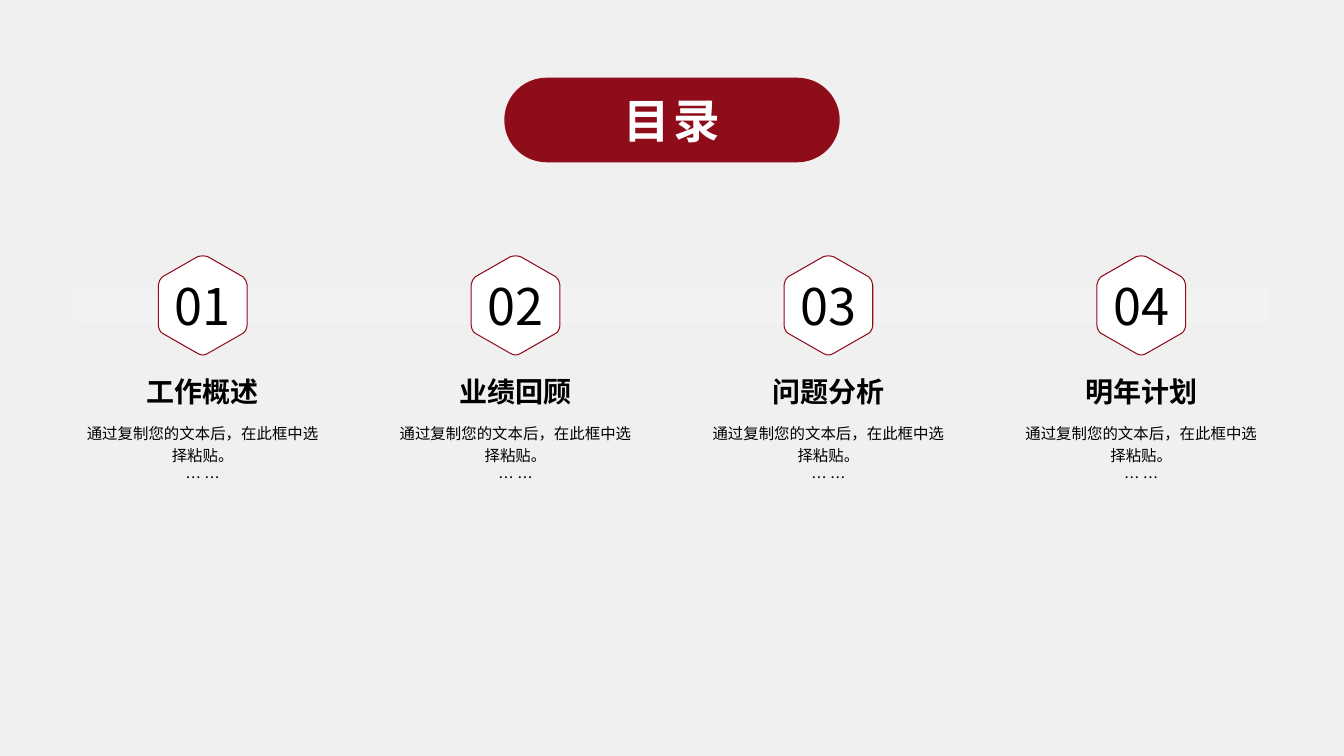
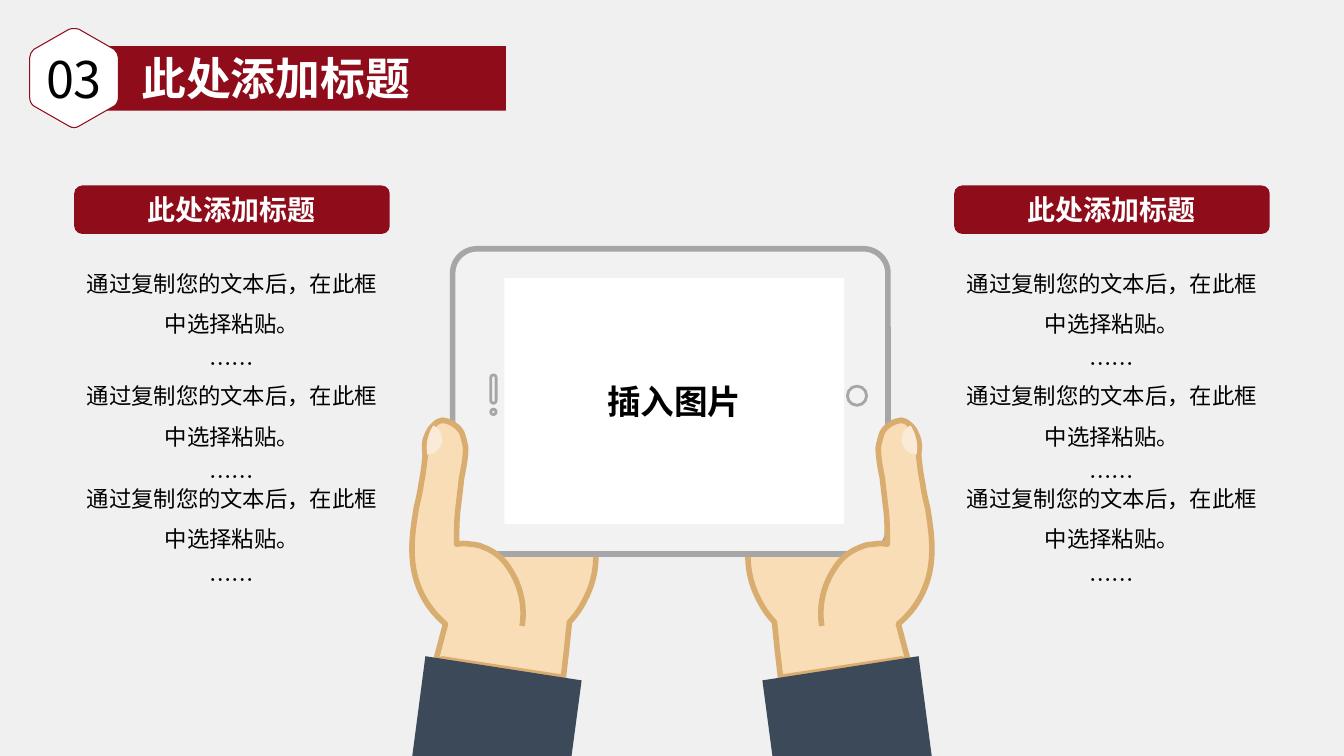
"""Build a contents slide and a tablet-in-hands slide."""
import pptx
import pptx.util
import pptx.dml.color
import pptx.enum.shapes
import pptx.enum.text
import pptx.oxml.ns
import lxml.etree

Pt = pptx.util.Pt
SHAPE = pptx.enum.shapes.MSO_SHAPE
ALIGN = pptx.enum.text.PP_ALIGN
ANCHOR = pptx.enum.text.MSO_ANCHOR
qn = pptx.oxml.ns.qn

COLORS = {
    "back": "F0F0F0", "panel": "F2F2F2", "red": "8F0C1B", "white": "FFFFFF",
    "black": "000000", "gray": "A6A6A6", "skin": "F9DDB7", "edge": "D9AD70",
    "nail": "FBEAD7", "sleeve": "3C4959",
}
FONT = "Noto Sans CJK SC"
WIDTH, HEIGHT, MARGIN = 960, 540, 53
UNIT = 0.72
BODY = "通过复制您的文本后，在此框中选择粘贴。"
HEADING = "此处添加标题"

HEXAGON = [
    (88, 29), (88, 26, 86, 23, 84, 21), (49, 1), (46, 0, 42, 0, 39, 1),
    (4, 21), (2, 23, 0, 26, 0, 29), (0, 69), (0, 72, 2, 76, 4, 77),
    (39, 97), (42, 99, 46, 99, 49, 97), (84, 77), (86, 76, 88, 72, 88, 69),
]
PALM = [
    (559, 672), (560, 663, 561, 654, 562, 646), (563, 636, 564, 627, 565, 617),
    (574, 608, 580, 597, 585, 585), (590, 572, 592, 559, 591, 545), (454, 541),
    (453, 518, 454, 496, 459, 475), (462, 458, 467, 440, 456, 426),
    (452, 421, 446, 418, 439, 417), (436, 418, 432, 420, 430, 423),
    (421, 432, 422, 445, 422, 458), (422, 470, 418, 483, 416, 495),
    (411, 519, 406, 545, 412, 569), (416, 589, 427, 607, 443, 619), (434, 653),
]
THUMB = [
    (433, 653), (442, 619), (425, 605, 413, 584, 410, 562),
    (407, 542, 410, 523, 413, 504), (415, 496, 417, 487, 418, 479),
    (420, 470, 421, 460, 422, 451), (421, 446, 421, 441, 422, 436),
    (424, 431, 426, 425, 430, 422), (432, 419, 435, 418, 439, 417),
    (447, 418, 454, 422, 458, 429), (460, 434, 461, 439, 462, 444),
    (462, 454, 460, 464, 458, 474), (457, 483, 456, 491, 455, 500),
    (453, 513, 453, 527, 453, 540), (458, 539, 462, 539, 467, 540),
    (471, 540, 476, 541, 480, 543), (491, 547, 500, 555, 506, 565),
    (517, 582, 521, 602, 518, 621),
]
NAIL = [
    (424, 451), (423, 445, 423, 439, 425, 433), (426, 429, 428, 425, 430, 422),
    (436, 425, 439, 431, 439, 437), (438, 445, 431, 451, 424, 451),
]
SLEEVE = [(422, 651), (577, 675), (567, 750), (409, 750)]


def outline(s, steps, dx=0, dy=0, flip=False, closed=True):
    points = []
    for step in steps:
        for x, y in zip(step[::2], step[1::2]):
            x = x * UNIT + dx
            points.append((Pt(WIDTH - x if flip else x), Pt(y * UNIT + dy)))
    builder = s.shapes.build_freeform(*points[0])
    builder.add_line_segments(points[1:], close=closed)
    sp = builder.convert_to_shape()
    segments = iter(list(sp._element.iter(qn("a:lnTo"))))
    for step in steps[1:]:
        segment = next(segments)
        if len(step) == 6:
            curve = lxml.etree.Element(qn("a:cubicBezTo"))
            segment.addprevious(curve)
            for part in (segment, next(segments), next(segments)):
                curve.append(part[0])
                part.getparent().remove(part)
    return sp


def dress(sp, fill=None, line=None, weight=0, lines=(), size=16, color="black", bold=False,
          align=ALIGN.CENTER, anchor=ANCHOR.MIDDLE, spacing=1.0, tracking=0, wrap=True):
    sp.shadow.inherit = False
    for part, name in ((sp.fill, fill), (sp.line.fill, line)):
        if name:
            part.solid()
            part.fore_color.rgb = pptx.dml.color.RGBColor.from_string(COLORS[name])
        else:
            part.background()
    if line:
        sp.line.width = Pt(weight)
    if not lines:
        return
    tf = sp.text_frame
    tf.word_wrap = wrap
    tf.vertical_anchor = anchor
    tf.text = "\n".join(lines)
    for p in tf.paragraphs:
        p.alignment = align
        p.line_spacing = spacing
        for r in p.runs:
            r.font.size = Pt(size)
            r.font.bold = bold
            r.font.color.rgb = pptx.dml.color.RGBColor.from_string(COLORS[color])
            r.font.name = FONT
            props = r.font._element
            lxml.etree.SubElement(props, qn("a:ea"), typeface=FONT)
            if tracking:
                props.set("spc", str(tracking * 100))


prs = pptx.Presentation()
prs.slide_width, prs.slide_height = Pt(WIDTH), Pt(HEIGHT)
contents, tablet = [prs.slides.add_slide(prs.slide_layouts[6]) for _ in range(2)]
for s in (contents, tablet):
    s.background.fill.solid()
    s.background.fill.fore_color.rgb = pptx.dml.color.RGBColor.from_string(COLORS["back"])

s = contents
strip = s.shapes.add_shape(SHAPE.RECTANGLE, Pt(MARGIN), Pt(206), Pt(WIDTH - 2 * MARGIN), Pt(25))
dress(strip, "panel")
pill = s.shapes.add_shape(SHAPE.ROUNDED_RECTANGLE, Pt(360.2), Pt(55.5), Pt(239.6), Pt(60.4))
pill.adjustments[0] = 0.5
dress(pill, "red", lines=["目录"], size=33.3, color="white", bold=True, tracking=3)

column = 183.6
pitch = (WIDTH - 2 * MARGIN - column) / 3
for i, name in enumerate(["工作概述", "业绩回顾", "问题分析", "明年计划"]):
    left = MARGIN + i * pitch
    badge = outline(s, HEXAGON, left + (column - 88 * UNIT) / 2, 182.6)
    dress(badge, "white", "red", lines=[f"{i + 1:02d}"], size=36)
    note = s.shapes.add_textbox(Pt(left), Pt(296.6), Pt(column), Pt(67))
    dress(note, lines=[BODY, "… …"], size=11, anchor=ANCHOR.TOP, spacing=1.2)
    label = s.shapes.add_textbox(Pt(left), Pt(262), Pt(column), Pt(34.6))
    dress(label, lines=[name], size=20, bold=True)

s = tablet
for flip in (True, False):
    dress(outline(s, PALM, flip=flip), "skin", "edge", 4)

device = s.shapes.add_shape(SHAPE.ROUNDED_RECTANGLE, Pt(323.3), Pt(177.7), Pt(311), Pt(218))
device.adjustments[0] = 0.08
dress(device, "panel", "gray", 4)
for kind, x, y, w, h in [
    (SHAPE.OVAL, 605.3, 275.8, 13.7, 13.7),
    (SHAPE.ROUNDED_RECTANGLE, 350.6, 267.8, 3.8, 20.2),
    (SHAPE.OVAL, 350.6, 292.3, 3.8, 3.8),
]:
    control = s.shapes.add_shape(kind, Pt(x), Pt(y), Pt(w), Pt(h))
    if kind == SHAPE.ROUNDED_RECTANGLE:
        control.adjustments[0] = 0.5
    dress(control, line="gray", weight=2)

for flip in (False, True):
    dress(outline(s, THUMB, flip=flip, closed=False), "skin", "edge", 4)
    dress(outline(s, NAIL, flip=flip), "nail")
    dress(outline(s, SLEEVE, flip=flip), "sleeve")

screen = s.shapes.add_shape(SHAPE.RECTANGLE, Pt(360.2), Pt(198.7), Pt(242.8), Pt(175.6))
dress(screen, "white", lines=["插入图片"], size=24, bold=True)

panel = 225.4
for left in (MARGIN, WIDTH - MARGIN - panel):
    for top in (179.6, 260, 333.4):
        note = s.shapes.add_textbox(Pt(left), Pt(top), Pt(panel), Pt(70))
        dress(note, lines=[BODY, "……"], anchor=ANCHOR.TOP, spacing=1.5)
    head = s.shapes.add_shape(SHAPE.ROUNDED_RECTANGLE, Pt(left), Pt(132.5), Pt(panel), Pt(34.6))
    dress(head, "red", lines=[HEADING], size=20, color="white", bold=True)

band = s.shapes.add_shape(SHAPE.RECTANGLE, Pt(71.3), Pt(33), Pt(290), Pt(46))
dress(band, "red")
dress(outline(s, HEXAGON, 21.2, 20.2), "white", "red", lines=["03"], size=36)
title = s.shapes.add_textbox(Pt(92.2), Pt(32.5), Pt(208), Pt(46))
dress(title, lines=[HEADING], size=32, color="white", bold=True, align=ALIGN.RIGHT, wrap=False)

prs.save("out.pptx")
